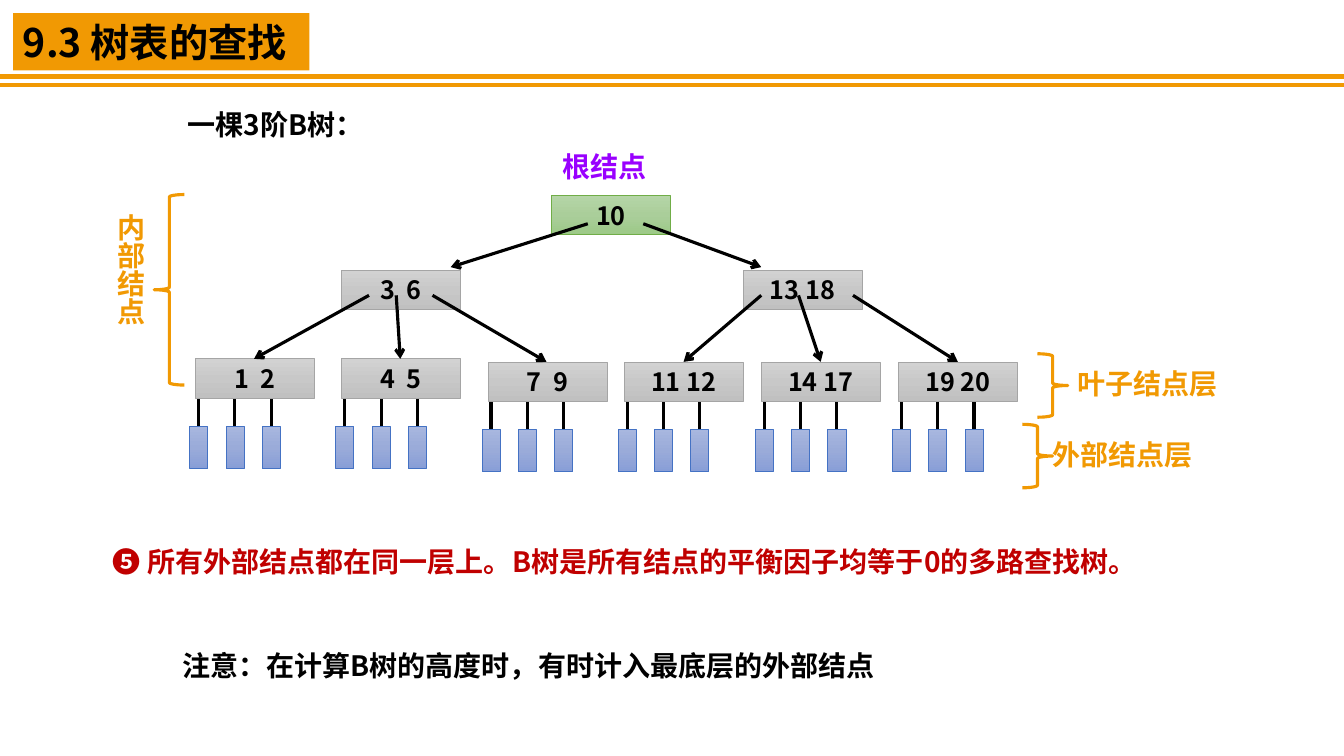
from copy import deepcopy
from dataclasses import dataclass

from lxml.etree import SubElement
from pptx import Presentation
from pptx.dml.color import RGBColor
from pptx.enum.shapes import MSO_CONNECTOR as Connector, MSO_SHAPE as Shape
from pptx.enum.text import MSO_ANCHOR as Anchor, PP_ALIGN as Align
from pptx.oxml.ns import qn
from pptx.util import Emu, Pt

PX = 9144  # EMU per px, 100 px to the inch


@dataclass(frozen=True)
class Theme:
    font: str = "Noto Sans CJK SC"
    ink: str = "000000"
    accent: str = "F19903"
    root_label: str = "9900FF"
    emphasis: str = "C00000"
    root_fill: tuple = ("B5D5A7", "AACE9A", "9CC987")
    root_line: str = "70AD47"
    node_fill: tuple = ("D2D2D2", "C8C8C8", "C0C0C0")
    node_line: str = "A5A5A5"
    external_fill: tuple = ("A8B7DF", "9AABD9", "889ED7")
    external_line: str = "4472C4"
    title_size: int = 28
    body_size: int = 20
    key_size: int = 18
    thin: float = 0.5
    stroke: float = 2.25
    rule: float = 3


THEME = Theme()
NODE_W, NODE_H = 118, 39


def px(*lengths):
    return [Emu(length * PX) for length in lengths]


def write(shape, text, size=THEME.body_size, color=THEME.ink, align=Align.LEFT,
          insets=(10, 5, 10, 5), spacing=0, line_height=None, vertical=False):
    """Put one bold line of text in a shape; spacing is in points per character."""
    frame = shape.text_frame
    frame.word_wrap = True
    frame.vertical_anchor = Anchor.MIDDLE
    (frame.margin_left, frame.margin_top,
     frame.margin_right, frame.margin_bottom) = px(*insets)
    if vertical:
        frame._txBody.bodyPr.set("vert", "eaVert")
    paragraph = frame.paragraphs[0]
    paragraph.alignment = align
    if line_height:
        paragraph.line_spacing = Pt(line_height)
    run = paragraph.add_run()
    run.text = text
    run.font.size, run.font.bold, run.font.name = Pt(size), True, THEME.font
    run.font.color.rgb = RGBColor.from_string(color)
    properties = run._r.get_or_add_rPr()
    SubElement(properties, qn("a:ea")).set("typeface", THEME.font)
    if spacing:
        properties.set("spc", str(spacing * 100))


def label(slide, box, text, **text_format):
    write(slide.shapes.add_textbox(*px(*box)), text, **text_format)


def add_outline(slide, kind, box, color, width):
    shape = slide.shapes.add_shape(kind, *px(*box))
    shape.shadow.inherit = False
    shape.fill.background()
    shape.line.color.rgb = RGBColor.from_string(color)
    shape.line.width = Pt(width)
    return shape


def gradient_box(slide, box, colors, outline):
    """Draw a rectangle shaded top to bottom through three colours."""
    shape = add_outline(slide, Shape.RECTANGLE, box, outline, THEME.thin)
    shape.fill.gradient()
    shape.fill.gradient_angle = 270
    stop_list = shape._element.spPr.find(".//" + qn("a:gsLst"))
    stop_list.insert(1, deepcopy(stop_list[0]))
    for stop, color, position in zip(shape.fill.gradient_stops, colors, (0, 0.5, 1)):
        stop.color.rgb = RGBColor.from_string(color)
        stop.position = position
    return shape


def line(slide, start, end, color=THEME.ink, width=THEME.stroke, arrow=False):
    connector = slide.shapes.add_connector(Connector.STRAIGHT, *px(*start, *end))
    connector.line.color.rgb = RGBColor.from_string(color)
    connector.line.width = Pt(width)
    if arrow:
        SubElement(connector.line._get_or_add_ln(), qn("a:tailEnd")).set("type", "arrow")
    SubElement(connector._element.spPr, qn("a:effectLst"))


def brace(slide, kind, box):
    add_outline(slide, kind, box, THEME.accent, THEME.stroke)


def title_bar(slide, box, text):
    left, top, width, height = box
    plate = slide.shapes.add_shape(Shape.RECTANGLE, *px(left, top, width, height))
    plate.shadow.inherit = False
    plate.fill.solid()
    plate.fill.fore_color.rgb = RGBColor.from_string(THEME.accent)
    plate.line.fill.background()
    write(plate, text, size=THEME.title_size)
    for gap in (6, 14):
        y = top + height + gap
        line(slide, (0, y), (1333, y), THEME.accent, THEME.rule)


def external_nodes(slide, leaf_x, leaf_y):
    """Hang three empty external nodes below one leaf."""
    for child in range(3):
        x = leaf_x - 6 + 36 * child
        line(slide, (x + 9, leaf_y + 32), (x + 9, leaf_y + 67))
        gradient_box(slide, (x, leaf_y + 67, 18, 42),
                     THEME.external_fill, THEME.external_line)


def tree_node(slide, x, y, keys, fill=THEME.node_fill, outline=THEME.node_line):
    node = gradient_box(slide, (x, y, NODE_W, NODE_H), fill, outline)
    single_digits = len(keys) > 1 and max(keys) < 10
    write(node, " ".join(map(str, keys)), size=THEME.key_size, align=Align.CENTER,
          insets=(0, 5, 0, 5), spacing=2 if single_digits else 0)


def b_tree(slide, left, top):
    """Draw the tree with its first leaf at left and its root at top."""
    leaves = [(0, 162, (1, 2)), (145, 162, (4, 5)), (290, 165, (7, 9)),
              (425, 165, (11, 12)), (561, 165, (14, 17)), (697, 165, (19, 20))]
    branches = [(145, (3, 6)), (543, (13, 18))]
    for x, y, _ in leaves:
        external_nodes(slide, left + x, top + y)
    tree_node(slide, left + 353, top, (10,), THEME.root_fill, THEME.root_line)
    for x, y, keys in leaves:
        tree_node(slide, left + x, top + y, keys)
    for x, keys in branches:
        tree_node(slide, left + x, top + 74, keys)
    root_links = [(389, 253), (444, 561)]
    leaf_links = [(172, 58), (199, 203), (235, 348), (561, 484), (598, 620), (652, 756)]
    for start, end in root_links:
        line(slide, (left + start, top + 28), (left + end, top + 71), arrow=True)
    for (start, end), (_, leaf_y, _) in zip(leaf_links, leaves):
        line(slide, (left + start, top + 99), (left + end, top + leaf_y), arrow=True)


def level_labels(slide, left, top):
    """Name the levels of the tree that b_tree draws at the same place."""
    label(slide, (left + 354, top - 51, 161, 44), "根结点", color=THEME.root_label)
    label(slide, (left - 92, top + 8, 54, 164), "内部结点",
          color=THEME.accent, vertical=True)
    brace(slide, Shape.LEFT_BRACE, (left - 41, top - 1, 30, 189))
    label(slide, (left + 865, top + 164, 221, 44), "叶子结点层", color=THEME.accent)
    brace(slide, Shape.RIGHT_BRACE, (left + 835, top + 157, 30, 63))
    label(slide, (left + 840, top + 235, 242, 44), "外部结点层", color=THEME.accent)
    brace(slide, Shape.RIGHT_BRACE, (left + 820, top + 227, 30, 63))


def remarks(slide, left, top):
    label(slide, (left, top, 1148, 63),
          "❺ 所有外部结点都在同一层上。B树是所有结点的平衡因子均等于0的多路查找树。",
          color=THEME.emphasis, insets=(16, 12, 10, 12), line_height=28)
    label(slide, (left + 75, top + 115, 967, 44),
          "注意：在计算B树的高度时，有时计入最底层的外部结点")


def main():
    deck = Presentation()
    deck.slide_width, deck.slide_height = px(1333, 750)
    slide = deck.slides.add_slide(deck.slide_layouts[6])
    title_bar(slide, (13, 13, 294, 57), "9.3 树表的查找")
    label(slide, (176, 101, 342, 44), "一棵3阶B树：")
    b_tree(slide, 194, 194)
    level_labels(slide, 194, 194)
    remarks(slide, 96, 523)
    deck.save("out.pptx")


if __name__ == "__main__":
    main()
